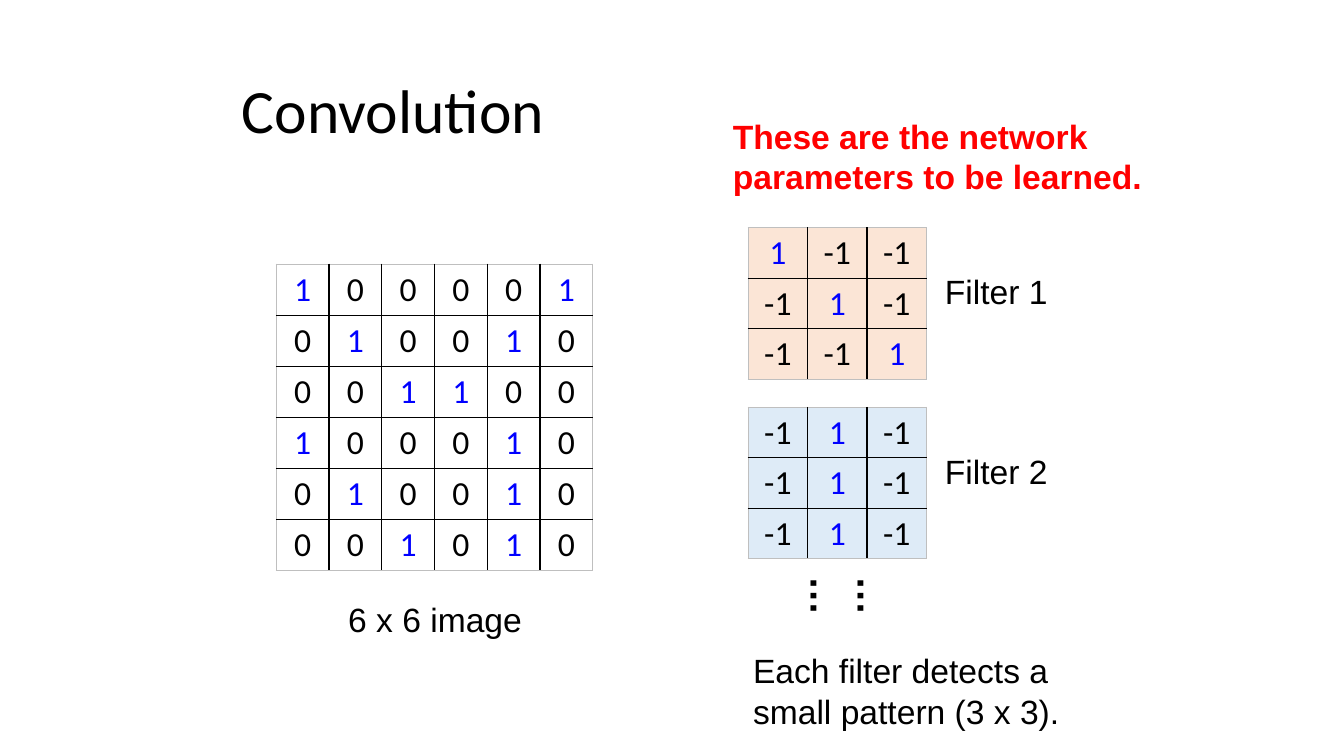
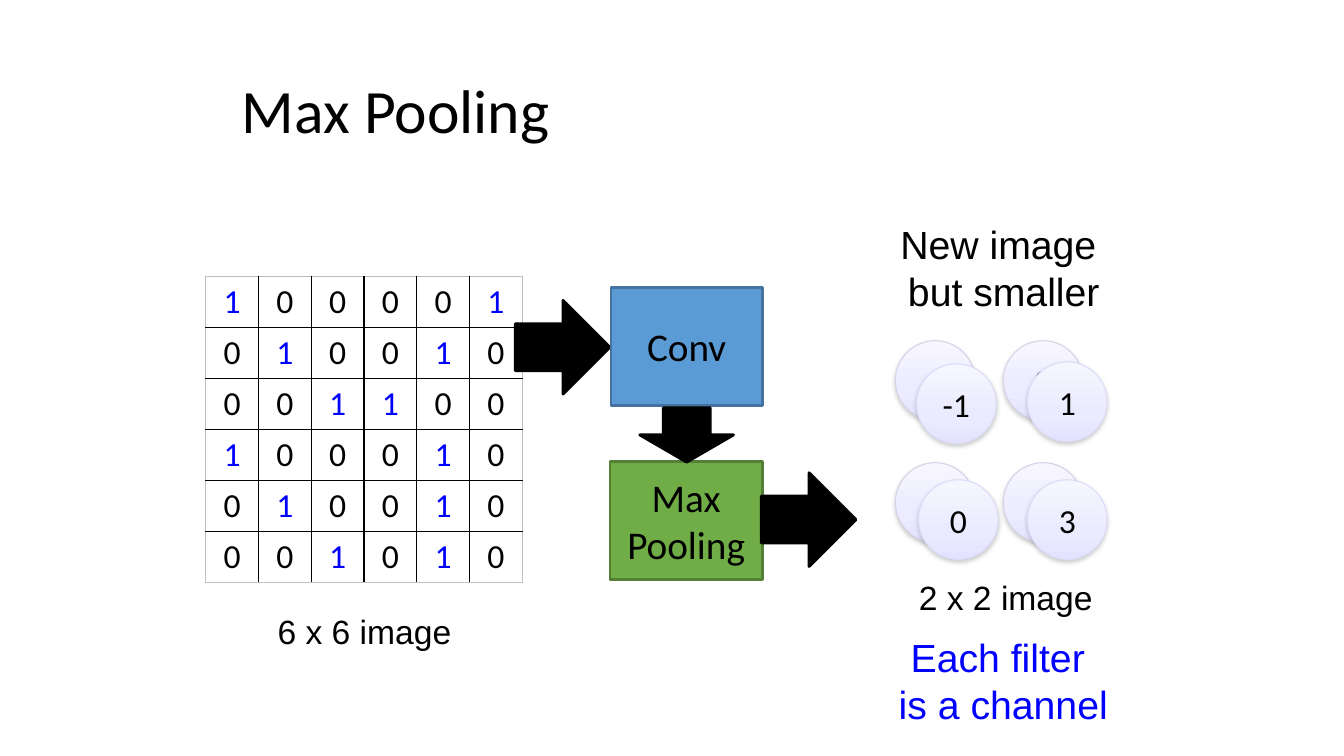
from copy import deepcopy

from pptx import Presentation
from pptx.dml.color import RGBColor
from pptx.enum.shapes import MSO_SHAPE
from pptx.enum.text import MSO_ANCHOR, MSO_AUTO_SIZE, PP_ALIGN
from pptx.oxml.ns import qn
from pptx.util import Inches, Pt
from lxml.etree import SubElement

BLACK = "000000"
BLUE = "0000FF"
RED = "FF0000"
GREY = "BFBFBF"
PEACH = "FBE5D6"
PALE_BLUE = "DEEBF7"
BACK_DISC = (("F7F6FF", "ECEBFF", "E5E3FF"), "D4D3E7")
FRONT_DISC = (("F6F6FF", "EBEBFF", "E3E3FF"), "DCDCFA")
DISC_STOPS = (0, 65000, 100000)
DISC_SIZE = 0.79

IMAGE = (
    (1, 0, 0, 0, 0, 1),
    (0, 1, 0, 0, 1, 0),
    (0, 0, 1, 1, 0, 0),
    (1, 0, 0, 0, 1, 0),
    (0, 1, 0, 0, 1, 0),
    (0, 0, 1, 0, 1, 0),
)
DIAGONAL_FILTER = ((1, -1, -1), (-1, 1, -1), (-1, -1, 1))
COLUMN_FILTER = ((-1, 1, -1),) * 3


def color(code):
    return RGBColor.from_string(code)


def place(box):
    return [Inches(length) for length in box]


def write(frame, lines, size, font="Calibri", ink=BLACK, bold=False, align=PP_ALIGN.CENTER):
    for index, line in enumerate(lines):
        para = frame.paragraphs[0] if index == 0 else frame.add_paragraph()
        para.alignment = align
        span = para.add_run()
        span.text = line
        span.font.name = font
        span.font.size = Pt(size)
        span.font.bold = bold
        span.font.color.rgb = color(ink)


def add_page(deck, title):
    page = deck.slides.add_slide(deck.slide_layouts.get_by_name("Title Only"))
    box = page.shapes.title
    box.left, box.top, box.width, box.height = place((2.35, 0.4, 8.62, 1.45))
    frame = box.text_frame
    frame.vertical_anchor = MSO_ANCHOR.MIDDLE
    frame.margin_left = frame.margin_right = Inches(0.05)
    write(frame, [title], 44, align=PP_ALIGN.LEFT)
    frame.paragraphs[0].line_spacing = 0.9
    return page


def add_label(page, box, lines, size=24, **style):
    label = page.shapes.add_textbox(*place(box))
    label.text_frame.word_wrap = True
    label.text_frame.auto_size = MSO_AUTO_SIZE.SHAPE_TO_FIT_TEXT
    write(label.text_frame, lines, size, font="Arial", **style)
    return label


def add_border(cell, side, ink, width):
    line = SubElement(cell._tc.get_or_add_tcPr(), qn(f"a:ln{side}"), w=str(Pt(width)))
    fill = SubElement(line, qn("a:solidFill"))
    SubElement(fill, qn("a:srgbClr"), val=ink)


def add_matrix(page, left, top, width, values, fill=None):
    count = len(values)
    table = page.shapes.add_table(count, count, *place((left, top, width, count * 0.5))).table
    table.first_row = table.horz_banding = False
    for row, numbers in enumerate(values):
        for column, number in enumerate(numbers):
            cell = table.cell(row, column)
            cell.vertical_anchor = MSO_ANCHOR.TOP
            edges = {"L": column == 0, "R": column == count - 1, "T": row == 0, "B": row == count - 1}
            for side, outer in edges.items():
                add_border(cell, side, GREY if outer else BLACK, 0.75 if outer else 1)
            if fill:
                cell.fill.solid()
                cell.fill.fore_color.rgb = color(fill)
            else:
                cell.fill.background()
            write(cell.text_frame, [str(number)], 24, ink=BLUE if number == 1 else BLACK)


def add_block(page, kind, box, fill, line, lines=(), size=28, rotation=0):
    block = page.shapes.add_shape(kind, *place(box))
    block.shadow.inherit = False
    block.rotation = rotation
    block.fill.solid()
    block.fill.fore_color.rgb = color(fill)
    block.line.color.rgb = color(line)
    block.line.width = Pt(2)
    block.text_frame.vertical_anchor = MSO_ANCHOR.MIDDLE
    write(block.text_frame, lines, size)
    return block


def add_arrow(page, box, rotation=0):
    add_block(page, MSO_SHAPE.RIGHT_ARROW, box, BLACK, BLACK, rotation=rotation)


def add_disc(page, left, top, look, text=None):
    shades, outline = look
    box = (left, top, DISC_SIZE, DISC_SIZE)
    disc = add_block(page, MSO_SHAPE.OVAL, box, shades[0], outline, [text] if text else [], 24)
    disc.line.width = Pt(0.75)
    disc.fill.gradient()
    disc.fill.gradient_angle = 270
    properties = disc._element.spPr
    stops = properties.find(qn("a:gradFill")).find(qn("a:gsLst"))
    stops.append(deepcopy(stops[-1]))
    for stop, position, shade in zip(stops, DISC_STOPS, shades):
        stop.set("pos", str(position))
        for old in list(stop):
            stop.remove(old)
        SubElement(stop, qn("a:srgbClr"), val=shade)
    shadow = SubElement(
        properties.find(qn("a:effectLst")), qn("a:outerShdw"),
        blurRad=str(Pt(3.1)), dist=str(Pt(1.6)), dir="5400000", rotWithShape="0",
    )
    tint = SubElement(shadow, qn("a:srgbClr"), val="808080")
    SubElement(tint, qn("a:alpha"), val="38000")


def add_image(page, left, top):
    add_matrix(page, left, top, 3.14, IMAGE)
    add_label(page, (left + 0.29, top + 3.27, 2.57, 0.5), ["6 x 6 image"])


def add_filter(page, top, values, fill, name):
    add_matrix(page, 7.42, top, 1.77, values, fill)
    add_label(page, (9.09, top + 0.38, 1.58, 0.51), [name])


def build_convolution(deck):
    page = add_page(deck, "Convolution")
    add_image(page, 2.74, 2.62)
    add_filter(page, 2.26, DIAGONAL_FILTER, PEACH, "Filter 1")
    add_filter(page, 4.04, COLUMN_FILTER, PALE_BLUE, "Filter 2")
    dots = add_label(page, (8.04, 5.49, 0.77, 1.04), ["……"], 28, bold=True, align=PP_ALIGN.LEFT)
    dots.rotation = 90
    add_label(page, (7.17, 1.1, 4.33, 0.91), ["These are the network parameters to be learned."],
              ink=RED, bold=True, align=PP_ALIGN.LEFT)
    add_label(page, (7.37, 6.4, 3.89, 0.91), ["Each filter detects a small pattern (3 x 3)."],
              align=PP_ALIGN.LEFT)


def build_max_pooling(deck):
    page = add_page(deck, "Max Pooling")
    add_image(page, 2.04, 2.74)
    for left, top, text in ((8.88, 3.38, None), (9.95, 3.38, "0"), (9.95, 4.59, None), (8.88, 4.59, None)):
        add_disc(page, left, top, BACK_DISC, text)
    for left, top, text in ((9.09, 3.61, "-1"), (10.19, 3.59, "1"), (10.19, 4.76, "3"), (9.11, 4.76, "0")):
        add_disc(page, left, top, FRONT_DISC, text)
    add_label(page, (8.69, 5.67, 2.57, 0.51), ["2 x 2 image"])
    add_label(page, (8.71, 6.23, 2.48, 1.05), ["Each filter ", "is a channel"], 28, ink=BLUE)
    add_arrow(page, (5.11, 2.98, 0.94, 0.93))
    add_label(page, (8.71, 2.14, 2.49, 1.04), ["New image ", "but smaller"], 28)
    add_block(page, MSO_SHAPE.RECTANGLE, (6.06, 2.85, 1.5, 1.17), "5B9BD5", "43739E", ["Conv"])
    add_block(page, MSO_SHAPE.RECTANGLE, (6.05, 4.58, 1.51, 1.17), "70AD47", "538035", ["Max", "Pooling"])
    add_arrow(page, (7.55, 4.69, 0.94, 0.93))
    add_arrow(page, (6.54, 3.85, 0.54, 0.93), rotation=90)


def main():
    deck = Presentation()
    deck.slide_width, deck.slide_height = Inches(13.33), Inches(7.5)
    build_convolution(deck)
    build_max_pooling(deck)
    deck.save("out.pptx")


if __name__ == "__main__":
    main()
